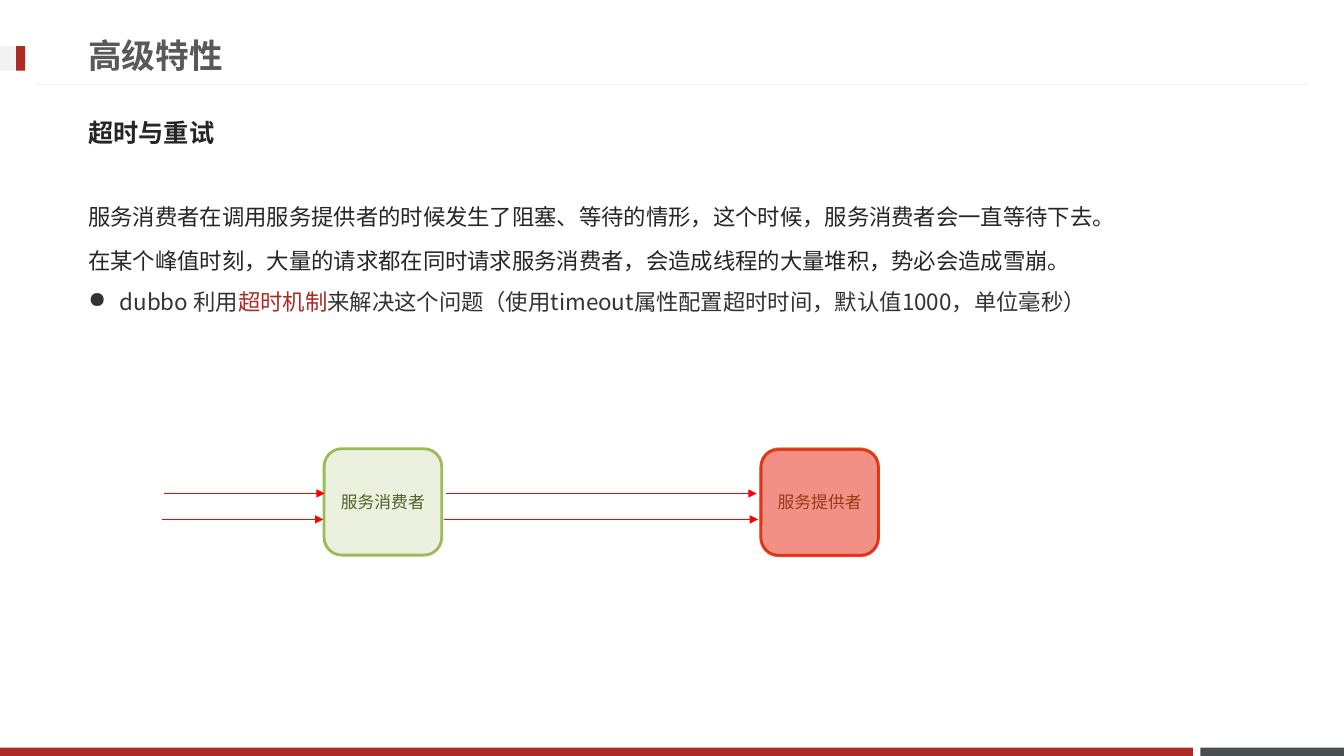
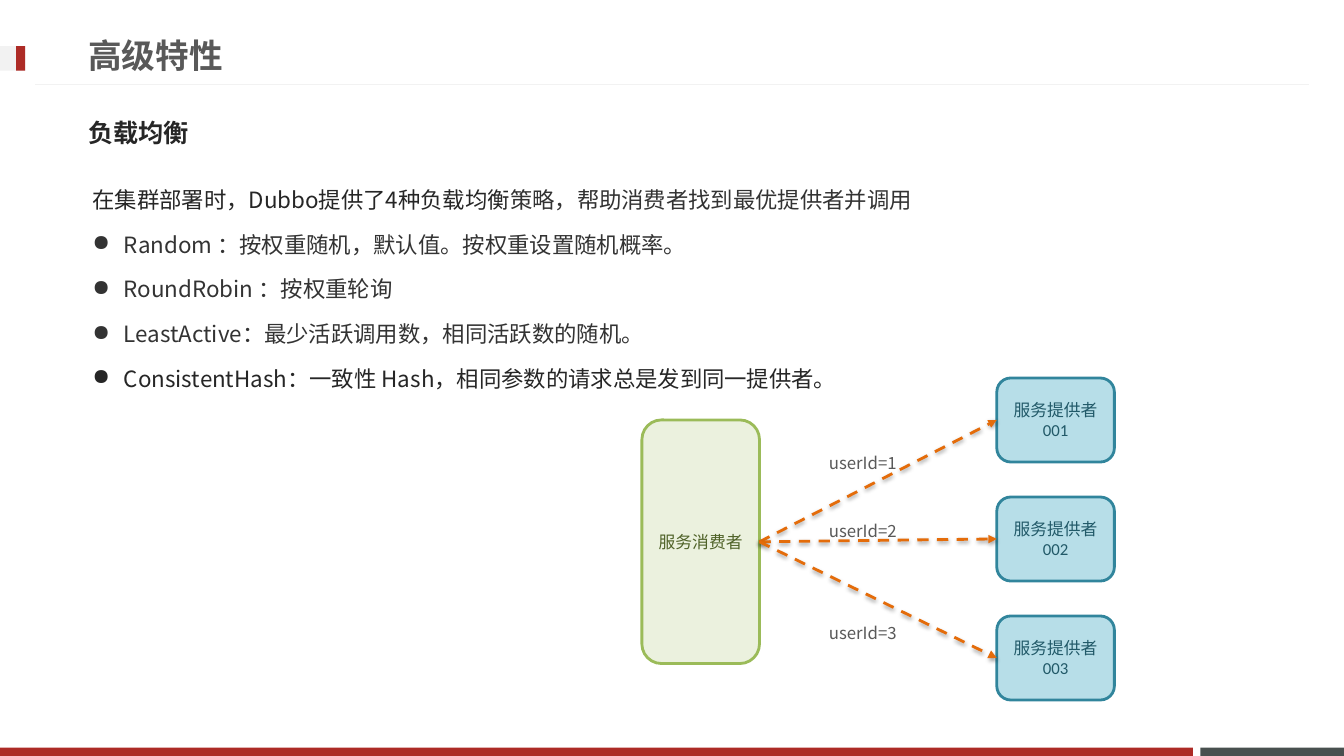
from lxml import etree
from pptx import Presentation
from pptx.dml.color import RGBColor
from pptx.enum import dml, shapes, text
from pptx.oxml import ns
from pptx.util import Pt

W, H = 960, 540
C = {
    "red": "AD2B26", "slate": "49504F", "pale": "F2F2F2", "title": "595959",
    "ink": "262626", "body": "333333", "alert": "FF0000", "orange": "E46C0A",
    "black": "000000",
}
# fill, line and text colour of each kind of node
GREEN = ("EBF1DE", "9BBB59", "4F6228")
BLUE = ("B7DEE8", "31859C", "215968")
CJK, MONO, LATIN = "Noto Sans CJK SC", "Noto Sans Mono", "Calibri"
MARGIN = 56
NODE_W = 84


def rgb(value):
    return RGBColor.from_string(value)


def sub(parent, tag, **attrs):
    el = etree.SubElement(parent, ns.qn(tag))
    for key, value in attrs.items():
        el.set(key, str(value))
    return el


def set_font(p, size, color, name=CJK, bold=False):
    """Style a paragraph, with one East Asian face for all text."""
    f = p.font
    f.size, f.bold, f.name = Pt(size), bold, name
    f.color.rgb = rgb(color)
    sub(p._p.pPr.find(ns.qn("a:defRPr")), "a:ea", typeface=CJK)


def add_box(s, x, y, w, h, fill, line=None, kind=shapes.MSO_SHAPE.RECTANGLE):
    sp = s.shapes.add_shape(kind, Pt(x), Pt(y), Pt(w), Pt(h))
    sp.shadow.inherit = False
    sp.fill.solid()
    sp.fill.fore_color.rgb = rgb(fill)
    if line:
        sp.line.color.rgb = rgb(line)
        sp.line.width = Pt(2)
    else:
        sp.line.fill.background()
    return sp


def add_node(s, x, y, h, colors, *lines):
    fill, line, ink = colors
    sp = add_box(s, x, y, NODE_W, h, fill, line, shapes.MSO_SHAPE.ROUNDED_RECTANGLE)
    tf = sp.text_frame
    tf.vertical_anchor = text.MSO_ANCHOR.MIDDLE
    for i, words in enumerate(lines):
        p = tf.add_paragraph() if i else tf.paragraphs[0]
        p.text = words
        p.alignment = text.PP_ALIGN.CENTER
        set_font(p, 12, ink, LATIN)
    return sp


def set_alpha(color_format_parent, percent):
    for clr in color_format_parent.iter(ns.qn("a:srgbClr")):
        sub(clr, "a:alpha", val=percent * 1000)


def add_line(s, x1, y1, x2, y2, color, width=0.75, arrow=True, dashed=False):
    """Straight line; dashed ones also carry a soft shadow."""
    ln = s.shapes.add_connector(shapes.MSO_CONNECTOR.STRAIGHT,
                                Pt(x1), Pt(y1), Pt(x2), Pt(y2))
    ln.line.color.rgb = rgb(color)
    ln.line.width = Pt(width)
    if dashed:
        ln.line.dash_style = dml.MSO_LINE.DASH
    sp_pr = ln._element.spPr
    if arrow:
        sub(sp_pr.find(ns.qn("a:ln")), "a:tailEnd", type="triangle")
    effects = sub(sp_pr, "a:effectLst")
    if dashed:
        shadow = sub(effects, "a:outerShdw", blurRad=Pt(3.1), dist=Pt(1.6),
                     dir=90 * 60000, rotWithShape=0)
        sub(sub(shadow, "a:srgbClr", val=C["black"]), "a:alpha", val=38000)
    return ln


def add_text(s, x, y, w, h, wrap=True):
    tf = s.shapes.add_textbox(Pt(x), Pt(y), Pt(w), Pt(h)).text_frame
    tf.word_wrap = wrap
    return tf


def add_heading(s, y, w, words, size, color, name=CJK):
    tf = add_text(s, MARGIN, y, w, 41)
    tf.vertical_anchor = text.MSO_ANCHOR.MIDDLE
    p = tf.paragraphs[0]
    p.text = words
    set_font(p, size, color, name, bold=True)


def add_body(s, x, y, h, paragraphs):
    """Paragraphs are (bulleted, space before, [(text, colour), ...])."""
    tf = add_text(s, x, y, 842, h)
    for i, (bulleted, before, runs) in enumerate(paragraphs):
        p = tf.add_paragraph() if i else tf.paragraphs[0]
        p.line_spacing = Pt(29)
        p.space_before = Pt(before)
        if bulleted:
            p_pr = p._p.get_or_add_pPr()
            p_pr.set("marL", str(Pt(22.5)))
            p_pr.set("indent", str(-Pt(22.5)))
            sub(p_pr, "a:buChar", char="●")
        set_font(p, 16, runs[0][1])
        for words, color in runs:
            r = p.add_run()
            r.text = words
            r.font.color.rgb = rgb(color)


def new_slide(prs, subject):
    s = prs.slides.add_slide(prs.slide_layouts[6])
    for x, y, w, h, color in (
        (857.5, 534, W - 857.5, 6, "slate"),
        (0, 534, 852, 6, "red"),
        (0, 33, 18, 17.5, "pale"),
        (11.5, 33, 6.5, 17.5, "red"),
    ):
        add_box(s, x, y, w, h, C[color])
    add_line(s, 935, 60.5, 25, 60.5, C["pale"], arrow=False)
    add_heading(s, 19, 690, "高级特性", 24, C["title"], MONO)
    add_heading(s, 74, 842, subject, 18, C["ink"])
    return s


def timeout_flow(s, x, y):
    """Requests pass the consumer and pile up at a failing provider."""
    consumer_x, provider_x, h = x + 115, x + 427, 76
    add_node(s, consumer_x, y, h, GREEN, "服务消费者")
    add_node(s, provider_x, y, h, GREEN, "服务提供者")
    failure = add_box(s, provider_x, y + 0.5, NODE_W, h, C["alert"], C["alert"],
                      shapes.MSO_SHAPE.ROUNDED_RECTANGLE)
    sp_pr = failure._element.spPr
    set_alpha(sp_pr.find(ns.qn("a:solidFill")), 40)
    set_alpha(sp_pr.find(ns.qn("a:ln")), 64)
    gap = 2.5
    for dy, shift in ((32, 0.5), (50.5, -0.5)):
        add_line(s, x + shift, y + dy, consumer_x + shift, y + dy, C["alert"])
        add_line(s, consumer_x + NODE_W + gap + shift, y + dy,
                 provider_x - gap - shift, y + dy, C["alert"])


def load_balancing(s, x, y):
    """One consumer fans out to three providers by user id."""
    consumer = add_node(s, x, y + 30, 174, GREEN, "服务消费者")
    for i, label_y in enumerate((50, 98.5, 171.5)):
        provider = add_node(s, x + 253.5, y + 85 * i, 60, BLUE,
                            "服务提供者", f"00{i + 1}")
        ln = add_line(s, x, y, x, y, C["orange"], 2, dashed=True)
        ln.begin_connect(consumer, 3)
        ln.end_connect(provider, 1)
        tf = add_text(s, x + 126.5, y + label_y, 66, 21.5, wrap=False)
        tf.auto_size = text.MSO_AUTO_SIZE.SHAPE_TO_FIT_TEXT
        p = tf.paragraphs[0]
        p.text = f"userId={i + 1}"
        set_font(p, 12, C["title"])


def timeout_slide(prs):
    s = new_slide(prs, "超时与重试")
    add_body(s, MARGIN, 131.5, 134, [
        (False, 0, [("服务消费者在调用服务提供者的时候发生了阻塞、等待的情形，这个时候，"
                     "服务消费者会一直等待下去。", C["ink"])]),
        (False, 3, [("在某个峰值时刻，大量的请求都在同时请求服务消费者，"
                     "会造成线程的大量堆积，势必会造成雪崩。", C["ink"])]),
        (True, 0, [("dubbo 利用", C["body"]), ("超时机制", C["red"]),
                   ("来解决这个问题（使用timeout属性配置超时时间，"
                    "默认值1000，单位毫秒）", C["body"])]),
    ])
    timeout_flow(s, 116.5, 320.5)


def balance_slide(prs):
    s = new_slide(prs, "负载均衡")
    strategies = (
        ("Random ：按权重随机，默认值。按权重设置随机概率。", C["body"]),
        ("RoundRobin ：按权重轮询", C["body"]),
        ("LeastActive：最少活跃调用数，相同活跃数的随机。", C["body"]),
        ("ConsistentHash：一致性 Hash，相同参数的请求总是发到同一提供者。", C["ink"]),
    )
    intro = [("在集群部署时，Dubbo提供了4种负载均衡", C["ink"]),
             ("策略，帮助消费者找到最优提供者并调用", C["body"])]
    add_body(s, MARGIN + 3, 119.5, 209,
             [(False, 0, intro)] + [(True, 3, [item]) for item in strategies])
    load_balancing(s, 458.5, 270)


def main():
    prs = Presentation()
    prs.slide_width, prs.slide_height = Pt(W), Pt(H)
    timeout_slide(prs)
    balance_slide(prs)
    prs.save("out.pptx")


if __name__ == "__main__":
    main()
